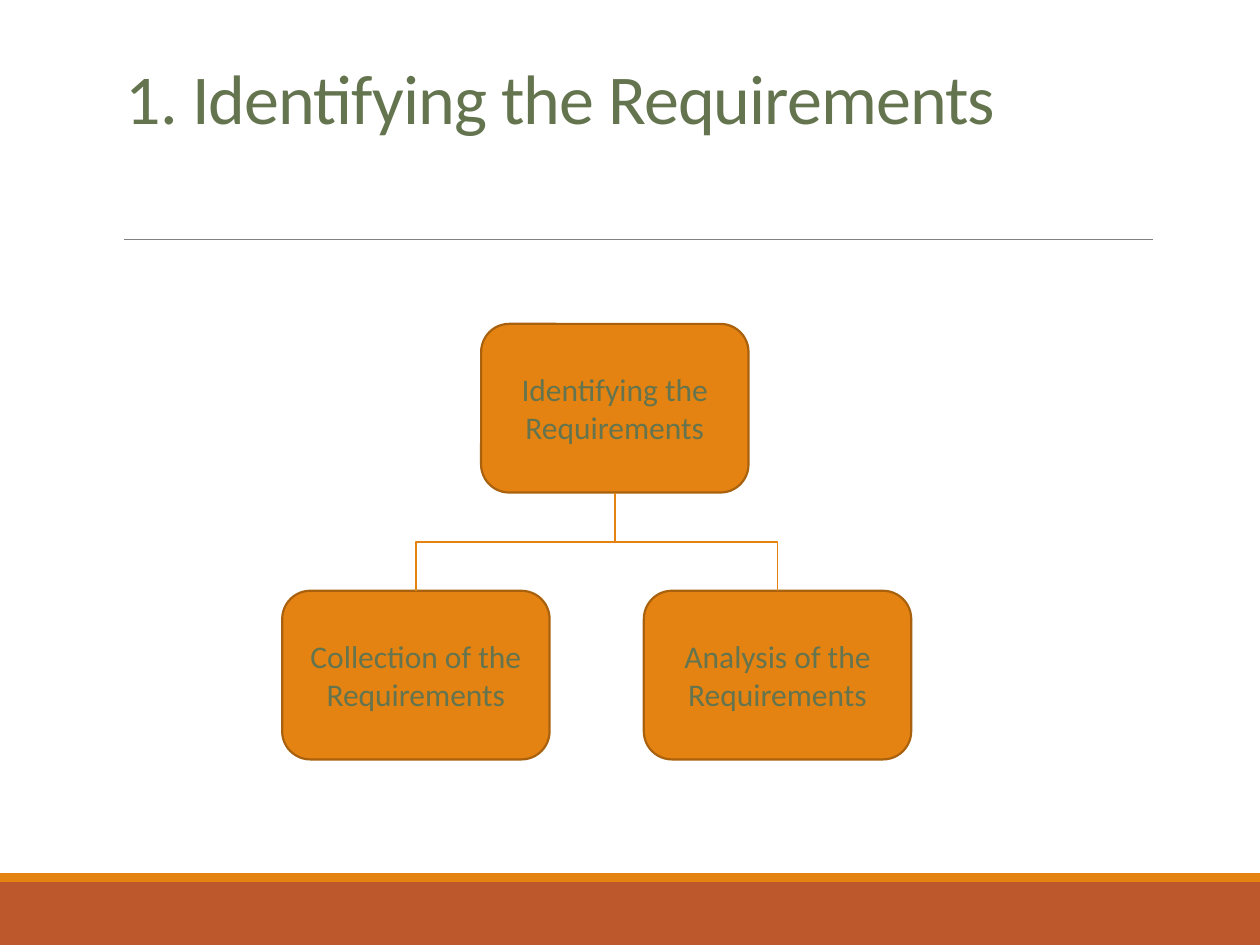
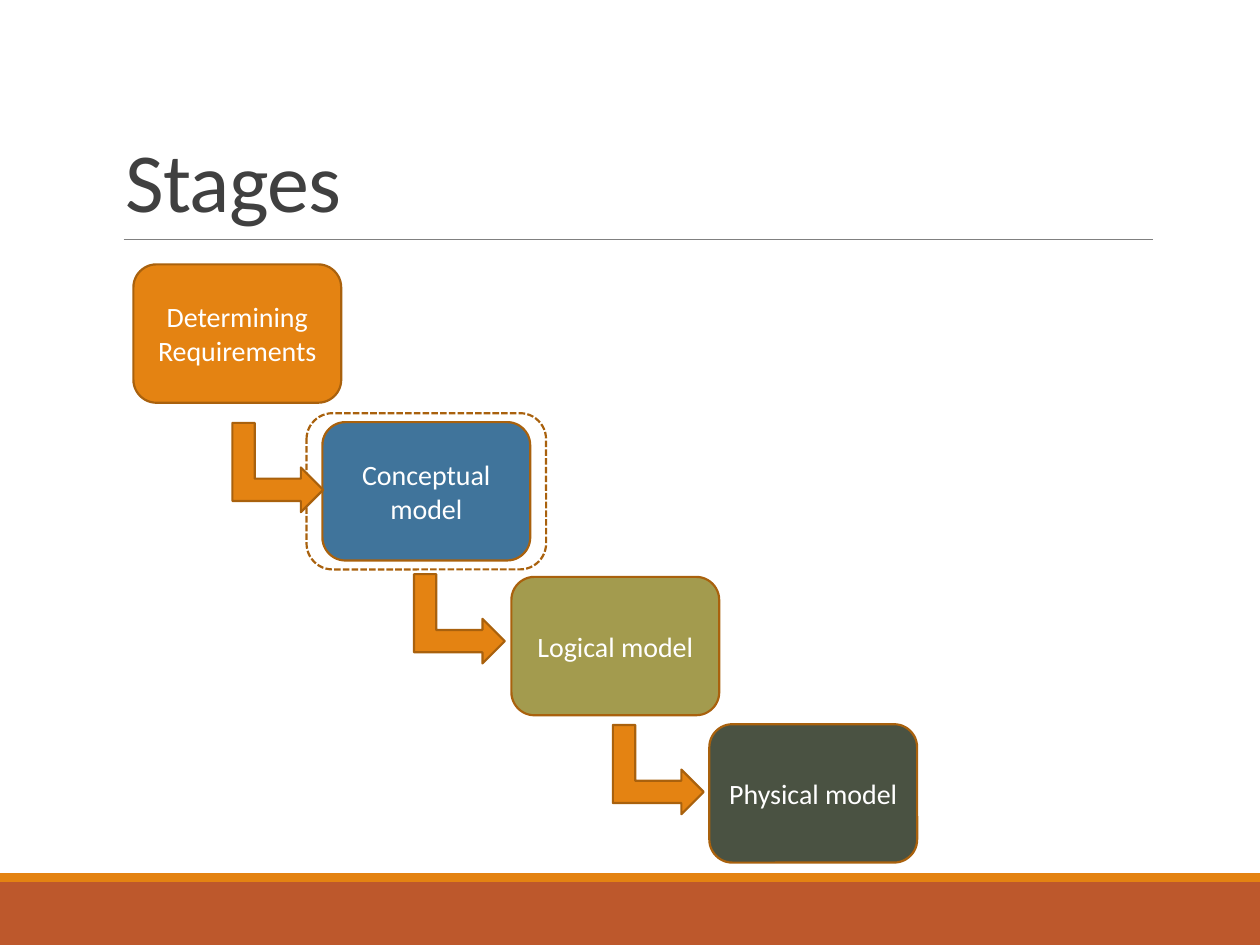
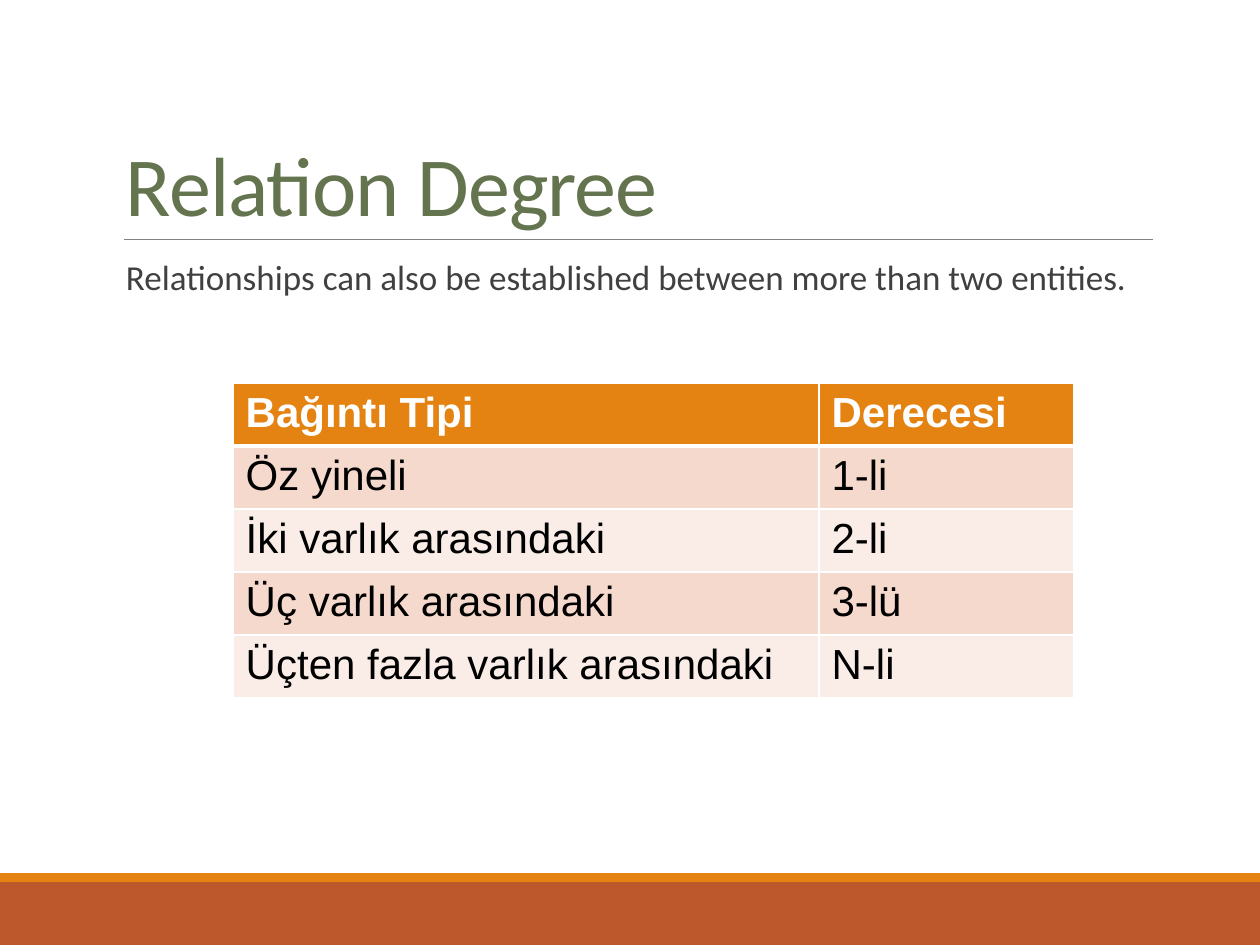
from lxml.etree import SubElement
from pptx import Presentation
from pptx.dml.color import RGBColor
from pptx.enum.dml import MSO_LINE_DASH_STYLE as Dash
from pptx.enum.shapes import MSO_CONNECTOR_TYPE as Link, MSO_SHAPE as Preset
from pptx.enum.text import MSO_ANCHOR as Anchor, PP_ALIGN as Align
from pptx.oxml.ns import qn
from pptx.util import Cm, Pt

COLORS = {
    "rust": "BD582C", "orange": "E48312", "brown": "A9610D", "rule": "808080",
    "green": "64744E", "dark": "404040", "white": "FFFFFF", "black": "000000",
    "blue": "40749B", "olive": "A39B4E", "moss": "4A5242",
    "band_dark": "F5D9CC", "band_light": "FAEDE7",
}
PAGE_WIDTH, PAGE_HEIGHT = 25.4, 19.05
TEXT_LEFT, TEXT_WIDTH = 2.29, 20.95

TREE_TITLE = "1. Identifying the Requirements"
TREE_SIZE = (5.39, 3.4)
ROOT = ("Identifying the Requirements", 9.7, 6.53)
BRANCHES = [
    ("Collection of the Requirements", 5.69, 11.91),
    ("Analysis of the Requirements", 12.98, 11.91),
]

STAGES_TITLE = "Stages"
STAGE_SIZE = (4.19, 2.79)
STAGES = [
    ("Determining Requirements", "orange", 2.69, 5.33),
    ("Conceptual model", "blue", 6.5, 8.51),
    ("Logical model", "olive", 10.31, 11.63),
    ("Physical model", "moss", 14.3, 14.6),
]
FRAMED_STAGE = 1
FRAME_MARGIN = (0.32, 0.18)
ARROW_SIZE = (1.8, 1.83)
ARROWS = [(4.7, 8.51), (8.36, 11.56), (12.37, 14.6)]

DEGREE_TITLE = "Relation Degree"
DEGREE_INTRO = "Relationships can also be established between more than two entities."
DEGREE_ROWS = [
    ("Bağıntı Tipi", "Derecesi"),
    ("Öz yineli", "1-li"),
    ("İki varlık arasındaki", "2-li"),
    ("Üç varlık arasındaki", "3-lü"),
    ("Üçten fazla varlık arasındaki", "N-li"),
]
COLUMN_WIDTHS = (11.81, 5.13)
ROW_HEIGHT = 1.04


def rgb(color):
    return RGBColor.from_string(COLORS[color])


def style_font(font, size, color, name="Calibri", bold=False):
    font.size, font.name, font.bold = Pt(size), name, bold
    font.color.rgb = rgb(color)


def add_box(page, preset, left, top, width, height, fill=None, line=None):
    box = page.shapes.add_shape(preset, Cm(left), Cm(top), Cm(width), Cm(height))
    box.shadow.inherit = False
    if fill:
        box.fill.solid()
        box.fill.fore_color.rgb = rgb(fill)
    else:
        box.fill.background()
    if line:
        box.line.color.rgb = rgb(line)
        box.line.width = Pt(1.25)
    else:
        box.line.fill.background()
    return box


def add_label_box(page, text, left, top, size, fill, font_size, color):
    box = add_box(page, Preset.ROUNDED_RECTANGLE, left, top, *size, fill, "brown")
    frame = box.text_frame
    frame.word_wrap, frame.vertical_anchor = True, Anchor.MIDDLE
    para = frame.paragraphs[0]
    para.text, para.alignment = text, Align.CENTER
    style_font(para.font, font_size, color)


def add_line(page, kind, start, end, color, width):
    line = page.shapes.add_connector(kind, *map(Cm, (*start, *end)))
    line.line.color.rgb = rgb(color)
    line.line.width = Pt(width)
    SubElement(line._element.spPr, qn("a:effectLst"))
    return line


def add_branch_line(page, start, end):
    (x1, y1), (x2, y2) = start, end
    middle_x, middle_y = (x1 + x2) / 2, (y1 + y2) / 2
    half_run, half_drop = (x2 - x1) / 2, (y2 - y1) / 2
    line = add_line(page, Link.ELBOW, (middle_x - half_drop, middle_y + half_run),
                    (middle_x + half_drop, middle_y - half_run), "orange", 1)
    line._element.spPr.find(qn("a:xfrm")).set("rot", "5400000")


def add_text(page, text, top, height, size, color, line_spacing, anchor):
    box = page.shapes.add_textbox(Cm(TEXT_LEFT), Cm(top), Cm(TEXT_WIDTH), Cm(height))
    frame = box.text_frame
    frame.word_wrap, frame.vertical_anchor = True, anchor
    para = frame.paragraphs[0]
    span = para.add_run()
    span.text = text
    para.line_spacing = line_spacing
    style_font(span.font, size, color)
    return frame, para, span


def add_page(deck, title, top, height, size, color):
    page = deck.slides.add_slide(deck.slide_layouts[6])
    add_box(page, Preset.RECTANGLE, 0, 17.78, PAGE_WIDTH, 1.27, "rust")
    add_box(page, Preset.RECTANGLE, 0, 17.6, PAGE_WIDTH, 0.18, "orange")
    add_line(page, Link.STRAIGHT, (2.49, 4.83), (23.24, 4.83), "rule", 0.5)
    span = add_text(page, title, top, height, size, color, 0.85, Anchor.BOTTOM)[2]
    span.font._element.set("spc", "-50")
    return page


def add_borders(cell, widths):
    properties = cell._tc.get_or_add_tcPr()
    for side, width in zip("LRTB", widths):
        border = SubElement(properties, qn(f"a:ln{side}"), w=str(Pt(width)))
        fill = SubElement(border, qn("a:solidFill"))
        SubElement(fill, qn("a:srgbClr"), val=COLORS["white"])


def build_tree(deck):
    page = add_page(deck, TREE_TITLE, 0.79, 2.13, 40, "green")
    for text, left, top in [ROOT, *BRANCHES]:
        add_label_box(page, text, left, top, TREE_SIZE, "orange", 18, "green")
    width, height = TREE_SIZE
    start = (ROOT[1] + width / 2, ROOT[2] + height)
    for _, left, top in BRANCHES:
        add_branch_line(page, start, (left + width / 2, top))


def build_stages(deck):
    page = add_page(deck, STAGES_TITLE, 0.71, 4.04, 48, "dark")
    _, _, left, top = STAGES[FRAMED_STAGE]
    across, down = FRAME_MARGIN
    width, height = STAGE_SIZE
    frame = add_box(page, Preset.ROUNDED_RECTANGLE, left - across, top - down,
                    width + 2 * across, height + 2 * down, line="brown")
    frame.line.dash_style = Dash.SQUARE_DOT
    for text, fill, left, top in STAGES:
        add_label_box(page, text, left, top, STAGE_SIZE, fill, 16, "white")
    for left, top in ARROWS:
        arrow = add_box(page, Preset.BENT_UP_ARROW, left, top, *ARROW_SIZE, "orange", "brown")
        arrow.rotation = 90


def build_degrees(deck):
    page = add_page(deck, DEGREE_TITLE, 0.79, 4.04, 48, "green")
    frame, para, _ = add_text(page, DEGREE_INTRO, 5.13, 11.18, 20, "dark", 0.9, Anchor.TOP)
    frame.margin_right = 0
    para.space_before, para.space_after = Pt(12), Pt(2)

    table = page.shapes.add_table(
        len(DEGREE_ROWS), len(COLUMN_WIDTHS), Cm(4.7), Cm(7.72),
        Cm(sum(COLUMN_WIDTHS)), Cm(ROW_HEIGHT * len(DEGREE_ROWS))).table
    for column, width in zip(table.columns, COLUMN_WIDTHS):
        column.width = Cm(width)
    for row, texts in enumerate(DEGREE_ROWS):
        header = row == 0
        fill = "orange" if header else "band_dark" if row % 2 else "band_light"
        for column, text in enumerate(texts):
            cell = table.cell(row, column)
            add_borders(cell, (1, 1, 3 if row == 1 else 1, 3 if header else 1))
            cell.fill.solid()
            cell.fill.fore_color.rgb = rgb(fill)
            cell.text = text
            style_font(cell.text_frame.paragraphs[0].font, 24,
                       "white" if header else "black", "Arial", header)


deck = Presentation()
deck.slide_width, deck.slide_height = Cm(PAGE_WIDTH), Cm(PAGE_HEIGHT)
build_tree(deck)
build_stages(deck)
build_degrees(deck)
deck.save("out.pptx")
